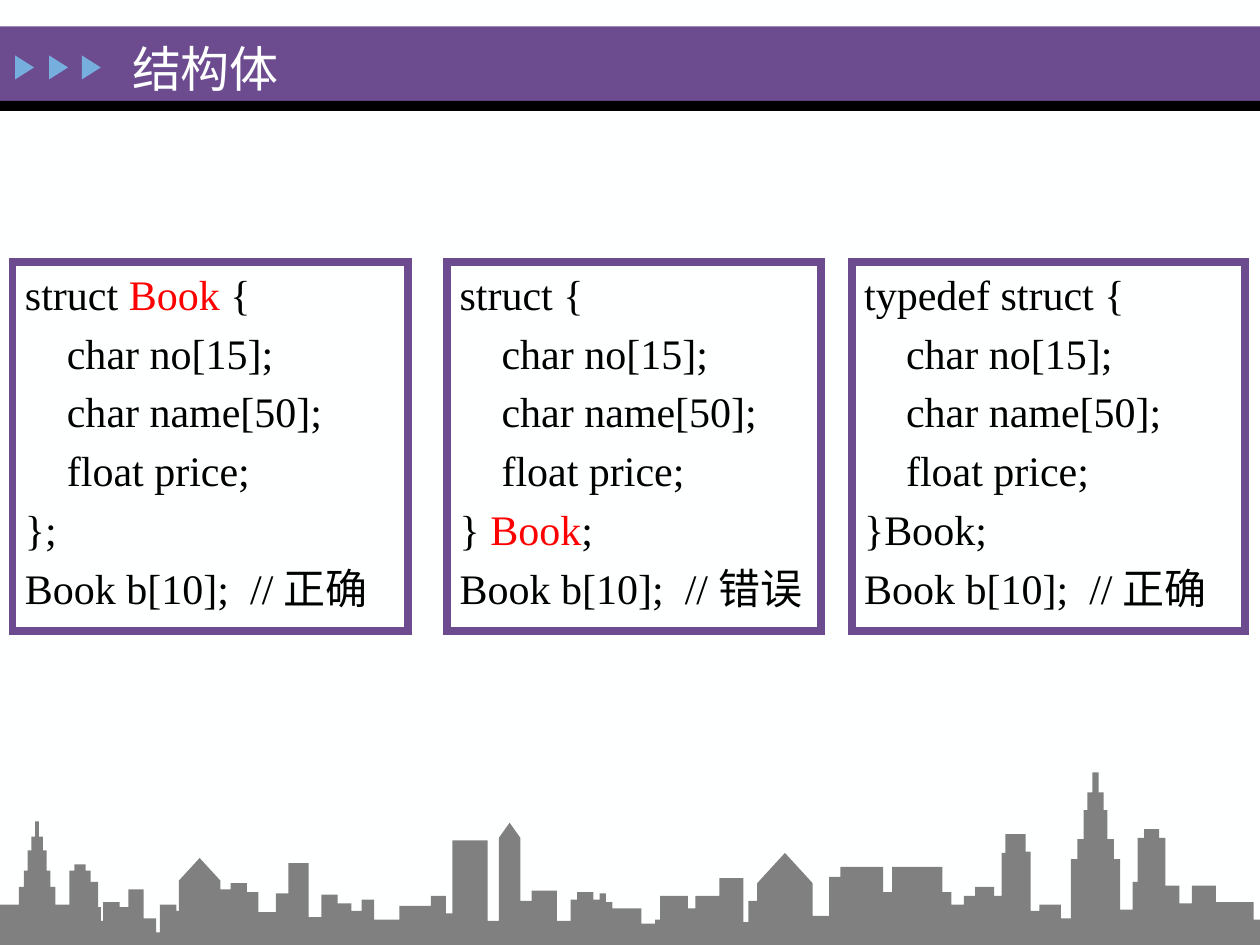
import pptx
import pptx.util
import pptx.dml.color
import pptx.enum.shapes
import pptx.enum.text
import lxml.etree
import pptx.oxml.ns

Inches, Pt = pptx.util.Inches, pptx.util.Pt
SHAPE = pptx.enum.shapes.MSO_SHAPE
ANCHOR = pptx.enum.text.MSO_ANCHOR

SLIDE_W, SLIDE_H = 10, 7.5
PURPLE, BLACK, WHITE, RED = "6C4C8F", "000000", "FEFFFF", "FF0000"
BLUE, GRAY = "76AEDD", "808080"

TITLE = "结构体"
ARROW_LEFTS = [0.1, 0.37, 0.63]
PANEL_TOP, PANEL_H = 2.08, 2.93
FIELDS = ["    char no[15];", "    char name[50];", "    float price;"]
PANELS = [
    {"left": 0.1, "width": 3.14, "verdict": "正确",
     "opening": [("struct ", BLACK), ("Book", RED), (" {", BLACK)], "closing": "};"},
    {"left": 3.55, "width": 2.97, "verdict": "错误",
     "opening": "struct {", "closing": [("} ", BLACK), ("Book", RED), (";", BLACK)]},
    {"left": 6.76, "width": 3.12, "verdict": "正确",
     "opening": "typedef struct {", "closing": "}Book;"},
]

OLD_TOWN = [
    ("roofs", (0.15, 0.32)),
    ("tower", (0.04, 0.46), (0.03, 0.59), (0.03, 0.75), (0.03, 0.86), (0.03, 0.98)),
    ("roofs", (0.11, 0.32)),
    ("tower", (0.04, 0.59), (0.09, 0.64)),
    ("roofs", (0.06, 0.5), (0.02, 0.3), (0.02, 0.19), (0.13, 0.34), (0.07, 0.3),
     (0.12, 0.44), (0.1, 0.21), (0.03, 0.1), (0.13, 0.32), (0.02, 0.27)),
    ("gable", 0.33, 0.51, 0.69),
]
MARKET = [
    ("roofs", (0.08, 0.44), (0.13, 0.49), (0.09, 0.42), (0.14, 0.26), (0.1, 0.41),
     (0.16, 0.65), (0.1, 0.22), (0.13, 0.4), (0.11, 0.33), (0.08, 0.27),
     (0.1, 0.36), (0.2, 0.2), (0.25, 0.31), (0.12, 0.39), (0.05, 0.25)),
]
CENTER = [
    ("roofs", (0.28, 0.83), (0.09, 0.19)),
    ("gable", 0.17, 0.85, 0.97),
    ("roofs", (0.09, 0.35), (0.2, 0.43), (0.11, 0.19)),
    ("tower", (0.05, 0.36), (0.13, 0.42)),
    ("roofs", (0.05, 0.41), (0.05, 0.34), (0.23, 0.29), (0.11, 0.17), (0.04, 0.2),
     (0.22, 0.39), (0.06, 0.29), (0.19, 0.39), (0.19, 0.53), (0.04, 0.18), (0.07, 0.35)),
    ("gable", 0.44, 0.49, 0.73),
]
EAST_SIDE = [
    ("roofs", (0.13, 0.23), (0.09, 0.54), (0.34, 0.62), (0.07, 0.42), (0.4, 0.62),
     (0.07, 0.42), (0.1, 0.32), (0.09, 0.39), (0.15, 0.46), (0.06, 0.39)),
    ("roofs", (0.03, 0.73), (0.16, 0.88), (0.04, 0.74)),
    ("roofs", (0.07, 0.27), (0.17, 0.32), (0.08, 0.21)),
    ("tower", (0.05, 0.68), (0.05, 0.84), (0.03, 1.07), (0.04, 1.21), (0.05, 1.37)),
    ("roofs", (0.1, 0.28), (0.04, 0.5)),
    ("tower", (0.05, 0.85), (0.12, 0.92)),
    ("roofs", (0.11, 0.47), (0.1, 0.33), (0.19, 0.47), (0.3, 0.34), (0.05, 0.2)),
]


def roofs(*blocks):
    return [(width, height, height) for width, height in blocks]


def tower(*tiers):
    return roofs(*tiers, *tiers[-2::-1])


def gable(width, eaves, peak):
    return [(width / 2, eaves, peak), (width / 2, peak, eaves)]


BUILDERS = {"roofs": roofs, "tower": tower, "gable": gable}


def rgb(color):
    return pptx.dml.color.RGBColor.from_string(color)


def paint(sp, fill, line=None):
    sp.shadow.inherit = False
    sp.fill.solid()
    sp.fill.fore_color.rgb = rgb(fill)
    if line:
        sp.line.color.rgb = rgb(line)
        sp.line.width = Pt(4.5)
        ln = sp.line.fill._xPr
        lxml.etree.SubElement(ln, pptx.oxml.ns.qn("a:miter"), lim="800000")
    else:
        sp.line.fill.background()


def add_shape(s, kind, box, fill, line=None):
    sp = s.shapes.add_shape(kind, *map(Inches, box))
    paint(sp, fill, line)
    return sp


def write(sp, lines, size=24, color=BLACK, gap=0, anchor=ANCHOR.TOP):
    tf = sp.text_frame
    tf.word_wrap = True
    tf.vertical_anchor = anchor
    for i, line in enumerate(lines):
        p = tf.add_paragraph() if i else tf.paragraphs[0]
        p.alignment = pptx.enum.text.PP_ALIGN.LEFT
        if i:
            p.space_before = Pt(gap)
        for text, run_color in [(line, color)] if isinstance(line, str) else line:
            r = p.add_run()
            r.text = text
            r.font.name = "Times New Roman"
            r.font.size = Pt(size)
            r.font.color.rgb = rgb(run_color)


def add_header(s):
    add_shape(s, SHAPE.RECTANGLE, (0, 0.21, SLIDE_W, 0.59), PURPLE)
    add_shape(s, SHAPE.RECTANGLE, (0, 0.8, SLIDE_W, 0.08), BLACK)
    for left in ARROW_LEFTS:
        arrow = add_shape(s, SHAPE.ISOSCELES_TRIANGLE, (left, 0.46, 0.19, 0.15), BLUE)
        arrow.rotation = 90
    title = s.shapes.add_textbox(*map(Inches, (0.95, 0.23, 3.36, 0.62)))
    write(title, [TITLE], size=28, color=WHITE, anchor=ANCHOR.MIDDLE)


def add_panel(s, left, width, opening, closing, verdict):
    box = (left, PANEL_TOP, width, PANEL_H)
    sp = add_shape(s, SHAPE.RECTANGLE, box, WHITE, PURPLE)
    write(sp, [opening, *FIELDS, closing, f"Book b[10];  //{verdict}"], gap=4.8)


def add_skyline(s, buildings):
    x, outline = 0, [(0, 0)]
    for kind, *sizes in buildings:
        for width, start, end in BUILDERS[kind](*sizes):
            outline += [(x, start), (x + width, end)]
            x += width
    outline.append((x, 0))
    points = [(Inches(px), Inches(SLIDE_H - height)) for px, height in outline]
    fb = s.shapes.build_freeform(*points[0])
    fb.add_line_segments(points[1:], close=True)
    paint(fb.convert_to_shape(), GRAY)


def main():
    prs = pptx.Presentation()
    prs.slide_width, prs.slide_height = Inches(SLIDE_W), Inches(SLIDE_H)
    s = prs.slides.add_slide(prs.slide_layouts[6])
    s.background.fill.solid()
    s.background.fill.fore_color.rgb = rgb(WHITE)
    add_header(s)
    for panel in PANELS:
        add_panel(s, **panel)
    add_skyline(s, OLD_TOWN + MARKET + CENTER + EAST_SIDE)
    prs.save("out.pptx")


if __name__ == "__main__":
    main()
